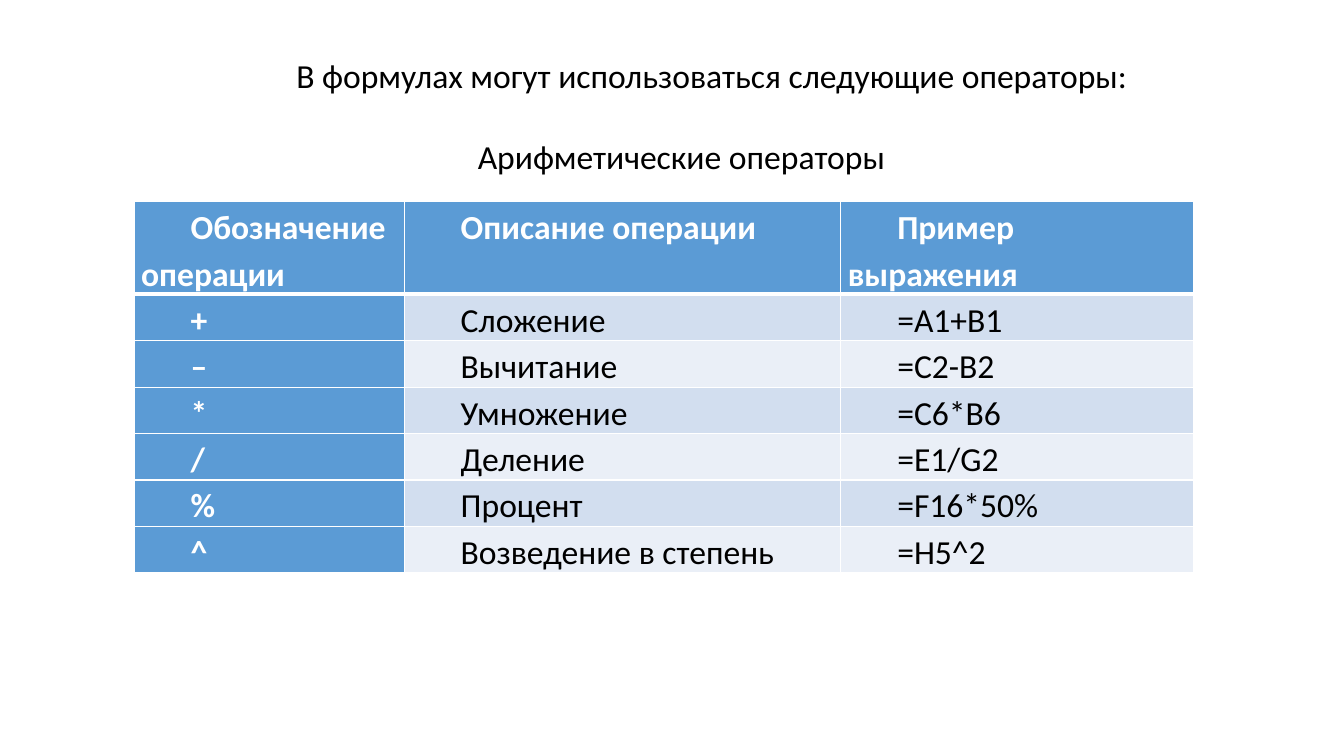
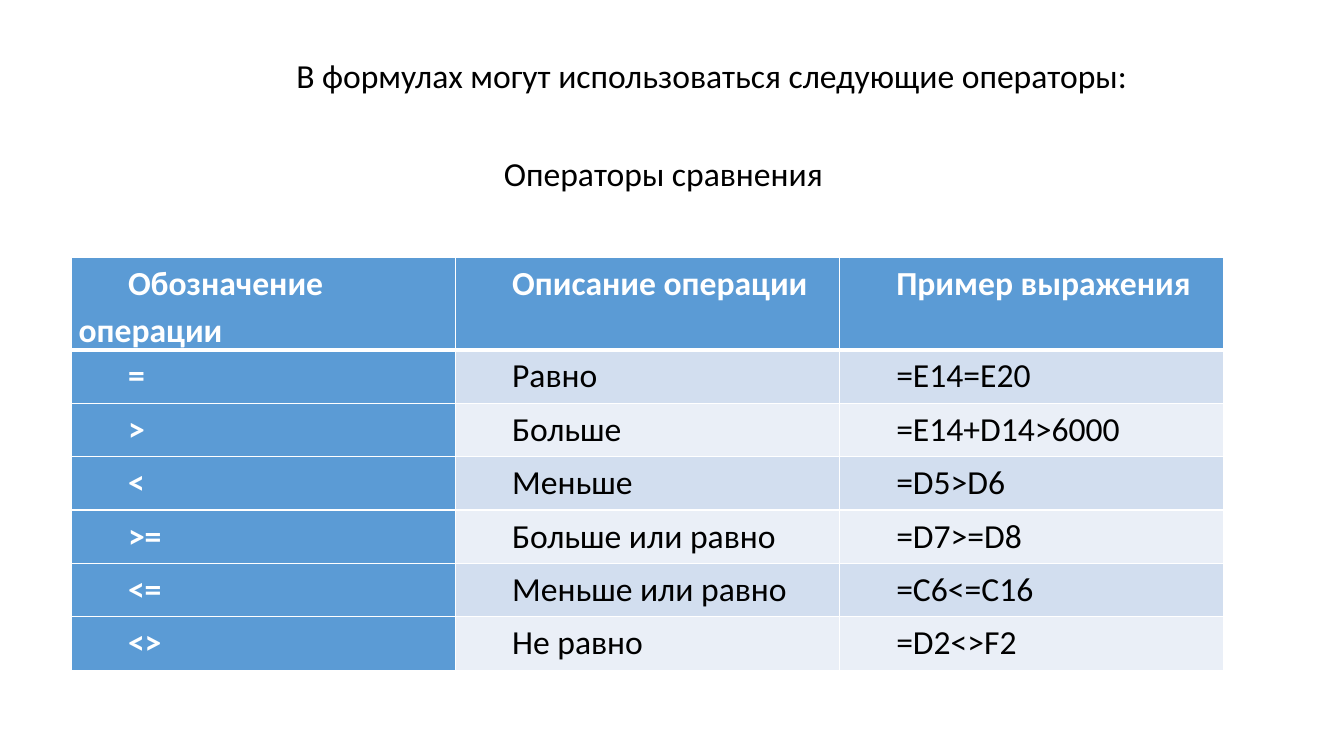
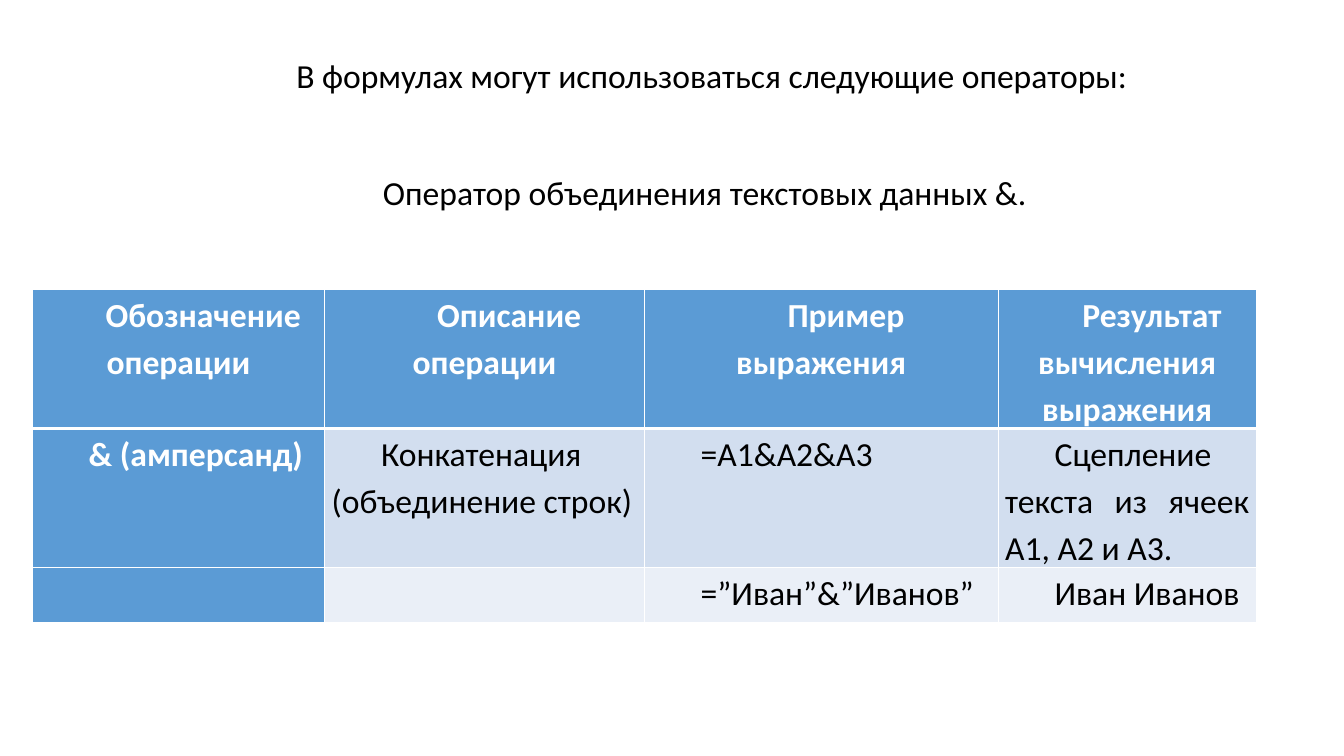
from dataclasses import dataclass

from lxml import etree
from pptx import Presentation
from pptx.dml.color import RGBColor
from pptx.enum.text import MSO_AUTO_SIZE, PP_ALIGN
from pptx.oxml.ns import qn
from pptx.slide import Slide
from pptx.table import _Cell
from pptx.text.text import _Paragraph
from pptx.util import Inches, Pt

CENTER, JUSTIFY = PP_ALIGN.CENTER, PP_ALIGN.JUSTIFY
FIT_SHAPE = MSO_AUTO_SIZE.SHAPE_TO_FIT_TEXT

BLACK = RGBColor(0x00, 0x00, 0x00)
WHITE = RGBColor(0xFF, 0xFF, 0xFF)
HEADER_BLUE = RGBColor(0x5B, 0x9B, 0xD5)
BAND_DARK = RGBColor(0xD2, 0xDE, 0xEF)
BAND_LIGHT = RGBColor(0xEA, 0xEF, 0xF7)

FONT = "Calibri"
TEXT_SIZE = Pt(24)
GRID_LINE = Pt(1)
HEADER_LINE = Pt(3)
CELL_MARGIN = Inches(0.07)
FIRST_LINE_INDENT = Inches(0.49)

BLANK_LAYOUT = 6
HEADINGS = ("Обозначение операции", "Описание операции", "Пример выражения")


@dataclass(frozen=True)
class Caption:
    text: str
    left: float
    top: float
    width: float


@dataclass(frozen=True)
class OperatorTable:
    left: float
    top: float
    column_widths: tuple[float, ...]
    row_heights: tuple[float, ...]
    rows: tuple[tuple[str, ...], ...]
    header_align: PP_ALIGN = JUSTIFY


@dataclass(frozen=True)
class OperatorSlide:
    subtitle: Caption
    operators: OperatorTable


TITLE = Caption("В формулах могут использоваться следующие операторы:", 2.84, 0.5, 8.59)

SLIDES = (
    OperatorSlide(
        Caption("Арифметические операторы", 4.64, 1.3, 4.28),
        OperatorTable(
            1.33, 2, (2.68, 4.33, 3.5), (0.73,) + (0.36,) * 6,
            (
                HEADINGS,
                ("+", "Сложение", "=А1+В1"),
                ("–", "Вычитание", "=С2-В2"),
                ("*", "Умножение", "=С6*В6"),
                ("/", "Деление", "=Е1/G2"),
                ("%", "Процент", "=F16*50%"),
                ("^", "Возведение в степень", "=H5^2"),
            ),
        ),
    ),
    OperatorSlide(
        Caption("Операторы сравнения", 4.9, 1.47, 3.4),
        OperatorTable(
            0.71, 2.55, (3.81,) * 3, (0.53,) * 7,
            (
                HEADINGS,
                ("=", "Равно", "=E14=E20"),
                (">", "Больше", "=E14+D14>6000"),
                ("<", "Меньше", "=D5>D6"),
                (">=", "Больше или равно", "=D7>=D8"),
                ("<=", "Меньше или равно", "=C6<=C16"),
                ("<>", "Не равно", "=D2<>F2"),
            ),
        ),
    ),
    OperatorSlide(
        Caption("Оператор объединения текстовых данных &.", 3.7, 1.66, 6.65),
        OperatorTable(
            0.32, 2.87, (2.9, 3.17, 3.51, 2.56), (1.09, 1.09, 0.55),
            (
                HEADINGS + ("Результат вычисления выражения",),
                ("& (амперсанд)", "Конкатенация (объединение строк)", "=А1&A2&A3",
                 "Сцепление текста из ячеек А1, А2 и А3."),
                ("", "", "=”Иван”&”Иванов”", "Иван Иванов"),
            ),
            CENTER,
        ),
    ),
)


def set_font(paragraph: _Paragraph, color: RGBColor, bold: bool = False) -> None:
    font = paragraph.font
    font.name, font.size, font.bold = FONT, TEXT_SIZE, bold
    font.color.rgb = color


def add_caption(slide: Slide, caption: Caption) -> None:
    box = slide.shapes.add_textbox(
        Inches(caption.left), Inches(caption.top), Inches(caption.width), Inches(0.5)
    )
    frame = box.text_frame
    frame.word_wrap = False
    frame.auto_size = FIT_SHAPE
    frame.text = caption.text
    set_font(frame.paragraphs[0], BLACK)


def add_borders(cell: _Cell, row: int) -> None:
    """Rule the cell in white, with a thicker line under the header row."""
    widths = {
        "a:lnL": GRID_LINE,
        "a:lnR": GRID_LINE,
        "a:lnT": HEADER_LINE if row == 1 else GRID_LINE,
        "a:lnB": HEADER_LINE if row == 0 else GRID_LINE,
    }
    properties = cell._tc.get_or_add_tcPr()
    for tag, width in widths.items():
        line = etree.SubElement(properties, qn(tag), w=str(width))
        fill = etree.SubElement(line, qn("a:solidFill"))
        etree.SubElement(fill, qn("a:srgbClr"), val=str(WHITE))


def fill_cell(cell: _Cell, text: str, row: int, column: int, align: PP_ALIGN) -> None:
    is_heading = row == 0 or column == 0
    add_borders(cell, row)
    cell.fill.solid()
    band = BAND_DARK if row % 2 else BAND_LIGHT
    cell.fill.fore_color.rgb = HEADER_BLUE if is_heading else band
    cell.margin_left = cell.margin_right = CELL_MARGIN
    cell.margin_top = cell.margin_bottom = 0
    cell.text = text
    paragraph = cell.text_frame.paragraphs[0]
    paragraph.alignment = align
    paragraph.line_spacing = 1.15
    paragraph._p.get_or_add_pPr().set("indent", str(FIRST_LINE_INDENT))
    set_font(paragraph, WHITE if is_heading else BLACK, is_heading)


def add_operator_table(slide: Slide, operators: OperatorTable) -> None:
    widths, heights = operators.column_widths, operators.row_heights
    table = slide.shapes.add_table(
        len(heights), len(widths), Inches(operators.left), Inches(operators.top),
        Inches(sum(widths)), Inches(sum(heights)),
    ).table
    table.first_col = True
    for column, width in zip(table.columns, widths):
        column.width = Inches(width)
    for row, (height, texts) in enumerate(zip(heights, operators.rows)):
        table.rows[row].height = Inches(height)
        align = operators.header_align if row == 0 else JUSTIFY
        for column, text in enumerate(texts):
            fill_cell(table.cell(row, column), text, row, column, align)


def main() -> None:
    presentation = Presentation()
    presentation.slide_width = Inches(13.33)
    presentation.slide_height = Inches(7.5)
    for content in SLIDES:
        slide = presentation.slides.add_slide(presentation.slide_layouts[BLANK_LAYOUT])
        add_caption(slide, TITLE)
        add_operator_table(slide, content.operators)
        add_caption(slide, content.subtitle)
    presentation.save("out.pptx")


if __name__ == "__main__":
    main()
